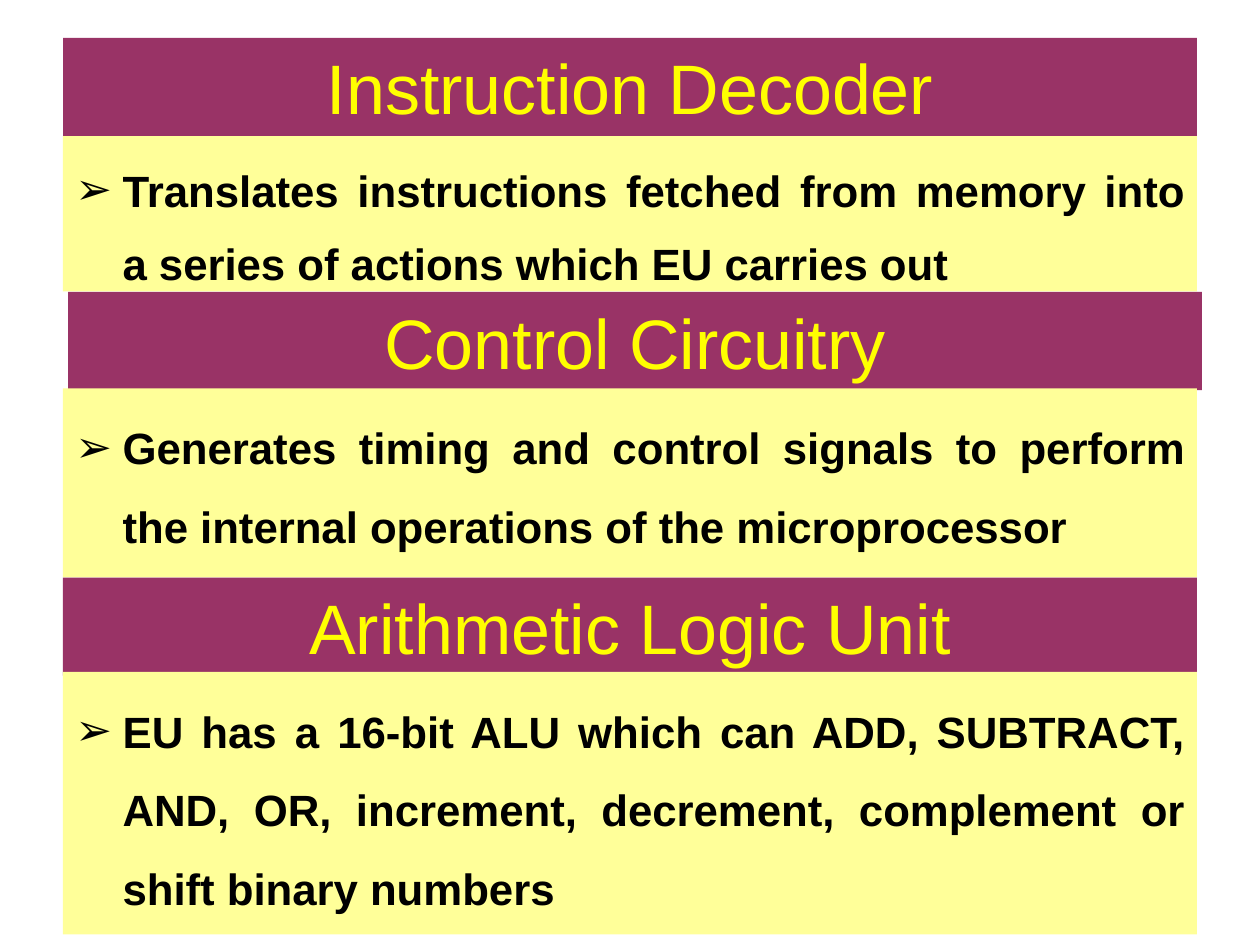
"""Build a slide describing three parts of the execution unit."""
import pptx
import pptx.util
import pptx.dml.color
import pptx.enum.shapes
import pptx.enum.text
import lxml.etree
import pptx.oxml.ns

Pt = pptx.util.Pt
RGB = pptx.dml.color.RGBColor.from_string
ALIGN = pptx.enum.text.PP_ALIGN
ANCHOR = pptx.enum.text.MSO_ANCHOR

THEME = {
    "font": "Arial",
    "heading": {"fill": "993366", "color": "FFFF00", "size": 40, "bold": False,
                "align": ALIGN.CENTER, "anchor": ANCHOR.MIDDLE},
    "detail": {"fill": "FFFF99", "color": "000000", "size": 25, "bold": True,
               "align": ALIGN.JUSTIFY, "anchor": ANCHOR.TOP},
}

UNITS = [
    {"heading": "Instruction Decoder", "left": 36, "top": 21.6,
     "detail": "Translates instructions fetched from memory into a series of "
               "actions which EU carries out",
     "detail_top": 77.76, "detail_height": 88.8, "line_spacing": 1.4},
    {"heading": "Control Circuitry", "left": 38.88, "top": 166.8,
     "detail": "Generates timing and control signals to perform the internal "
               "operations of the microprocessor",
     "detail_top": 222, "detail_height": 108, "line_spacing": 1.5},
    {"heading": "Arithmetic Logic Unit", "left": 36, "top": 330,
     "detail": "EU has a 16-bit ALU which can ADD, SUBTRACT, AND, OR, increment, "
               "decrement, complement or shift binary numbers",
     "detail_top": 384, "detail_height": 150, "line_spacing": 1.5},
]

DETAIL_LEFT, BAND_WIDTH, HEADING_HEIGHT = 36, 648, 56.16
INDENT, SPACE_BEFORE, BULLET = 27, 6.2, "➢"


def format_band(band, text, role, left, top, height):
    style = THEME[role]
    band.left, band.top = Pt(left), Pt(top)
    band.width, band.height = Pt(BAND_WIDTH), Pt(height)
    band.fill.solid()
    band.fill.fore_color.rgb = RGB(style["fill"])
    band.line.fill.background()
    frame = band.text_frame
    frame.text = text
    frame.word_wrap = True
    frame.auto_size = pptx.enum.text.MSO_AUTO_SIZE.NONE
    frame.vertical_anchor = style["anchor"]
    frame.margin_left = frame.margin_right = Pt(7.2)
    frame.margin_top = frame.margin_bottom = Pt(3.6)
    paragraph = frame.paragraphs[0]
    paragraph.alignment = style["align"]
    font = paragraph.runs[0].font
    font.name, font.size, font.bold = THEME["font"], Pt(style["size"]), style["bold"]
    font.color.rgb = RGB(style["color"])
    return paragraph


def add_band(slide):
    rectangle = pptx.enum.shapes.MSO_SHAPE.RECTANGLE
    band = slide.shapes.add_shape(rectangle, 0, 0, Pt(BAND_WIDTH), Pt(HEADING_HEIGHT))
    band.shadow.inherit = False
    return band


def add_bullet(paragraph, line_spacing):
    paragraph.line_spacing = line_spacing
    paragraph.space_before = Pt(SPACE_BEFORE)
    properties = paragraph._p.get_or_add_pPr()
    properties.set("marL", str(Pt(INDENT)))
    properties.set("indent", str(-Pt(INDENT)))
    qn = pptx.oxml.ns.qn
    bullet_color = lxml.etree.SubElement(properties, qn("a:buClr"))
    lxml.etree.SubElement(bullet_color, qn("a:srgbClr"), val=THEME["detail"]["color"])
    lxml.etree.SubElement(properties, qn("a:buFont"), typeface=THEME["font"])
    lxml.etree.SubElement(properties, qn("a:buChar"), char=BULLET)


def main():
    deck = pptx.Presentation()
    deck.slide_width, deck.slide_height = Pt(720), Pt(540)
    slide = deck.slides.add_slide(deck.slide_layouts[5])
    for index, unit in enumerate(UNITS):
        heading = add_band(slide) if index else slide.shapes.title
        format_band(heading, unit["heading"], "heading",
                    unit["left"], unit["top"], HEADING_HEIGHT)
        detail = format_band(add_band(slide), unit["detail"], "detail",
                             DETAIL_LEFT, unit["detail_top"], unit["detail_height"])
        add_bullet(detail, unit["line_spacing"])
    deck.save("out.pptx")


if __name__ == "__main__":
    main()
